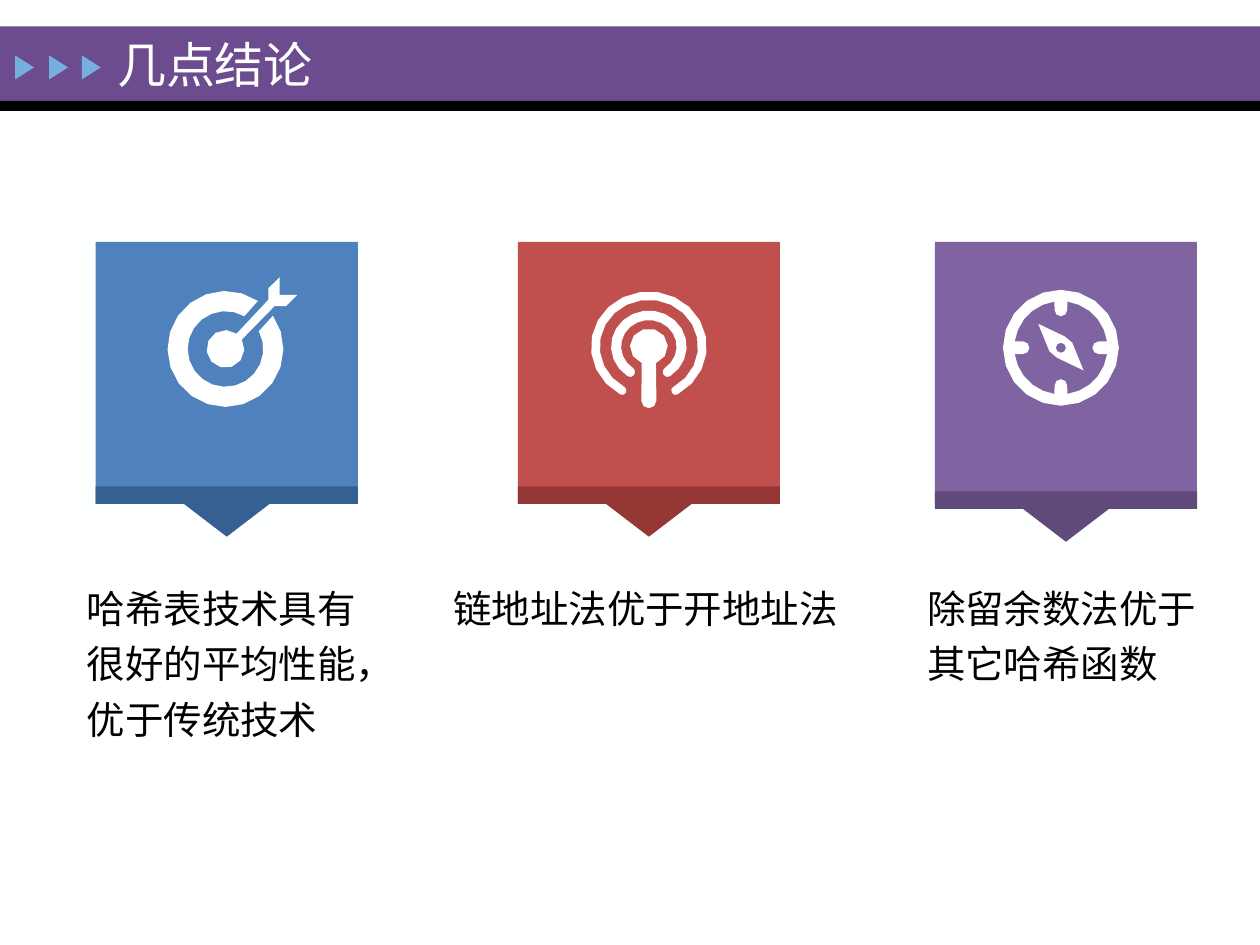
from math import ceil, cos, radians, sin

from pptx import Presentation
from pptx.dml.color import RGBColor
from pptx.enum.shapes import MSO_SHAPE as SHAPE
from pptx.enum.text import MSO_ANCHOR as ANCHOR, MSO_AUTO_SIZE as FIT, PP_ALIGN as ALIGN
from pptx.util import Inches, Pt

WHITE = RGBColor(0xFF, 0xFF, 0xFF)
PAPER = RGBColor(0xFE, 0xFF, 0xFF)
BLACK = RGBColor(0x00, 0x00, 0x00)
VIOLET = RGBColor(0x6C, 0x4C, 0x8F)
SKY = RGBColor(0x76, 0xAE, 0xDD)
BLUE = RGBColor(0x4F, 0x81, 0xBD)
NAVY = RGBColor(0x37, 0x60, 0x92)
RED = RGBColor(0xC0, 0x50, 0x4D)
MAROON = RGBColor(0x95, 0x37, 0x35)
PURPLE = RGBColor(0x80, 0x64, 0xA2)
PLUM = RGBColor(0x60, 0x4A, 0x7B)
FONT = "Times New Roman"

prs = Presentation()
prs.slide_width, prs.slide_height = Inches(10), Inches(7.5)
slide = prs.slides.add_slide(prs.slide_layouts[5])
slide.background.fill.solid()
slide.background.fill.fore_color.rgb = PAPER
shapes = slide.shapes


def arc(x, y, r, start, end, ratio=1):
    """Points along an arc in degrees, clockwise from the right; ratio is height to width."""
    step = 18 if r > 0.2 else 36 if r > 0.1 else 45
    count = max(1, ceil(abs(end - start) / step))
    turns = [radians(start + (end - start) * i / count) for i in range(count + 1)]
    return [(x + r * cos(t), y + r * ratio * sin(t)) for t in turns]


def draw(color, kind=None, box=None, loops=()):
    """Add a plain filled preset shape, or one outline made of closed loops."""
    if kind:
        shape = shapes.add_shape(kind, *map(Inches, box))
    else:
        paths = [[(Inches(x), Inches(y)) for x, y in loop] for loop in loops]
        pen = shapes.build_freeform(*paths[0][0], scale=1.0)
        for i, path in enumerate(paths):
            if i:
                pen.move_to(*path[0])
            pen.add_line_segments(path[1:], close=True)
        shape = pen.convert_to_shape()
    shape.shadow.inherit = False
    shape.fill.solid()
    shape.fill.fore_color.rgb = color
    shape.line.fill.background()
    return shape


# Header
draw(VIOLET, SHAPE.RECTANGLE, (0, 0.21, 10, 0.59))
draw(BLACK, SHAPE.RECTANGLE, (0, 0.8, 10, 0.08))
for left in (0.1, 0.37, 0.63):
    draw(SKY, SHAPE.ISOSCELES_TRIANGLE, (left, 0.46, 0.19, 0.15)).rotation = 90

title = shapes.title
shapes.element.append(title.element)
title.left, title.top = Inches(0.83), Inches(0.23)
title.width, title.height = Inches(5.19), Inches(0.56)
frame = title.text_frame
frame.auto_size = FIT.NONE
frame.vertical_anchor = ANCHOR.MIDDLE
para = frame.paragraphs[0]
para.alignment = ALIGN.LEFT
run = para.add_run()
run.text = "几点结论"
run.font.size, run.font.name = Pt(28), FONT
run.font.color.rgb = PAPER

# Cards: left, tag top, colours, caption left, width, height and text
cards = [
    (0.76, 3.86, BLUE, NAVY, 0.59, 2.37, 1.4, "哈希表技术具有很好的平均性能，优于传统技术"),
    (4.11, 3.86, RED, MAROON, 3.5, 3.31, 0.51, "链地址法优于开地址法"),
    (7.42, 3.9, PURPLE, PLUM, 7.26, 2.4, 0.95, "除留余数法优于其它哈希函数"),
]
tag = [(0, 0), (2.08, 0), (2.08, 0.14), (1.38, 0.14), (1.04, 0.4), (0.7, 0.14), (0, 0.14)]
for left, top, face, dark, x, width, height, text in cards:
    draw(face, SHAPE.RECTANGLE, (left, 1.92, 2.08, 2.08))
    draw(dark, loops=[[(left + dx, top + dy) for dx, dy in tag]])
    box = shapes.add_textbox(Inches(x), Inches(4.52), Inches(width), Inches(height))
    frame = box.text_frame
    frame.word_wrap = True
    frame.auto_size = FIT.SHAPE_TO_FIT_TEXT
    para = frame.paragraphs[0]
    para.line_spacing, para.space_before = 1.2, Pt(6.6)
    run = para.add_run()
    run.text = text
    run.font.size, run.font.name = Pt(22), FONT
    run.font.color.rgb = BLACK

# Target with a dart
x, y = 1.79, 2.77
ring = arc(x, y, 0.3, -28, 300) + arc(x, y, 0.46, 304, -35)
dart = arc(x, y, 0.15, -30, 306) + [
    (2.13, 2.38), (2.13, 2.29), (2.22, 2.2), (2.22, 2.34), (2.36, 2.34), (2.27, 2.43), (2.18, 2.43)]
draw(WHITE, loops=[ring, dart])

# Antenna with two round-ended waves
x, y, flat = 5.15, 2.75, 0.95
waves = []
for outer, inner, start, end in ((0.46, 0.39, 120, 420), (0.3, 0.22, 125, 415)):
    mid, cap = (outer + inner) / 2, (outer - inner) / 2
    head, tail = [arc(x, y, mid, a, a, flat)[0] for a in (start, end)]
    waves.append(arc(x, y, outer, start, end, flat) + arc(*tail, cap, end, end + 180)
                 + arc(x, y, inner, end, start, flat) + arc(*head, cap, start + 180, start + 360))
mast = arc(x, y, 0.15, 112, 428, flat) + arc(x, 3.18, 0.06, 0, 180)
draw(WHITE, loops=waves + [mast])

# Compass with four ticks and a needle
x, y = 8.42, 2.76
dial = []
for turn in range(0, 360, 90):
    tick = turn + 90
    dial += arc(x, y, 0.37, turn + 8, turn + 82)
    dial += arc(*arc(x, y, 0.3, tick, tick)[0], 0.05, tick - 90, tick - 270)
needle = [(8.24, 2.57), (8.45, 2.67), (8.51, 2.72), (8.6, 2.94), (8.39, 2.84), (8.33, 2.79)]
draw(WHITE, loops=[arc(x, y, 0.46, 0, 360), dial, needle, arc(x, y, 0.04, 0, 360)])

prs.save("out.pptx")
